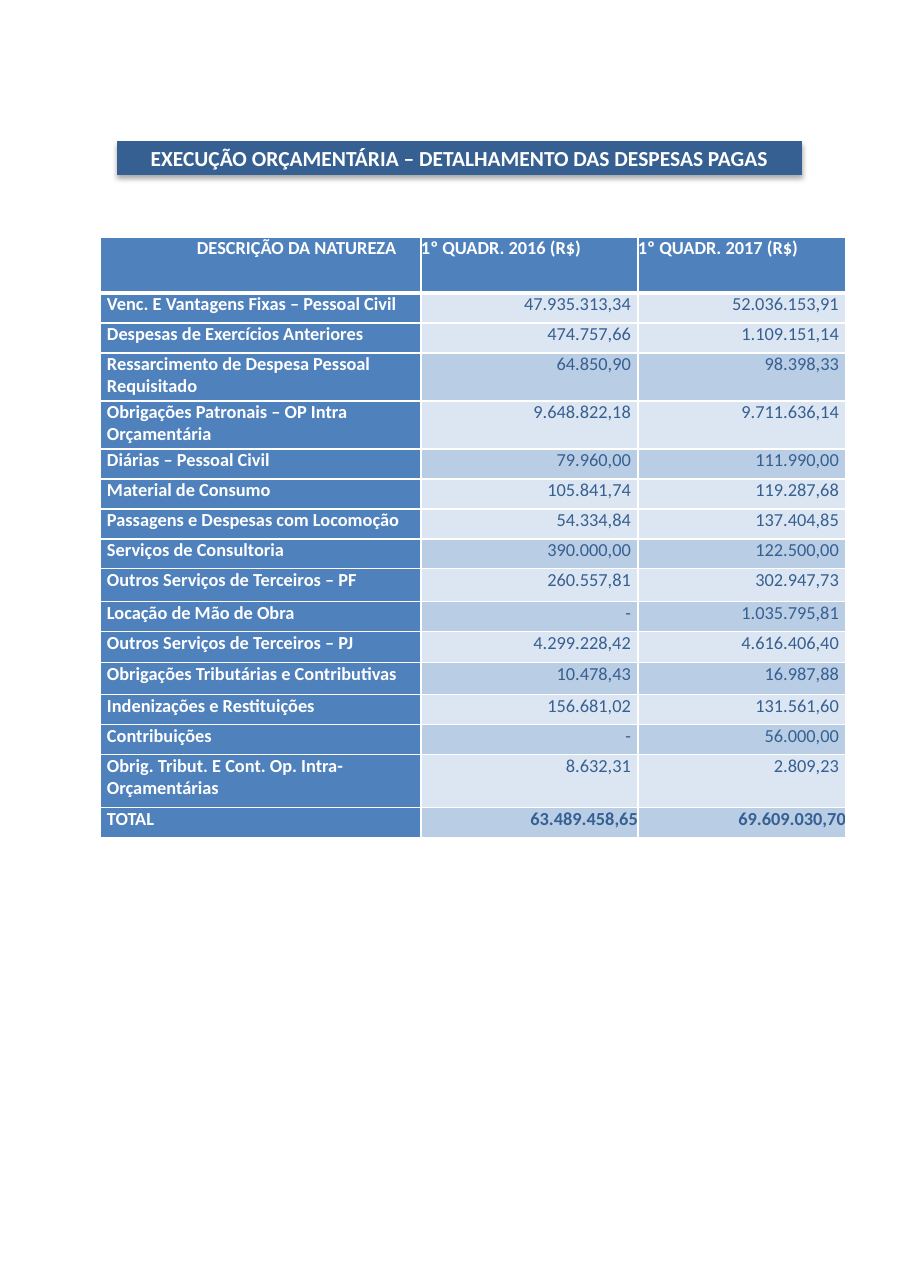
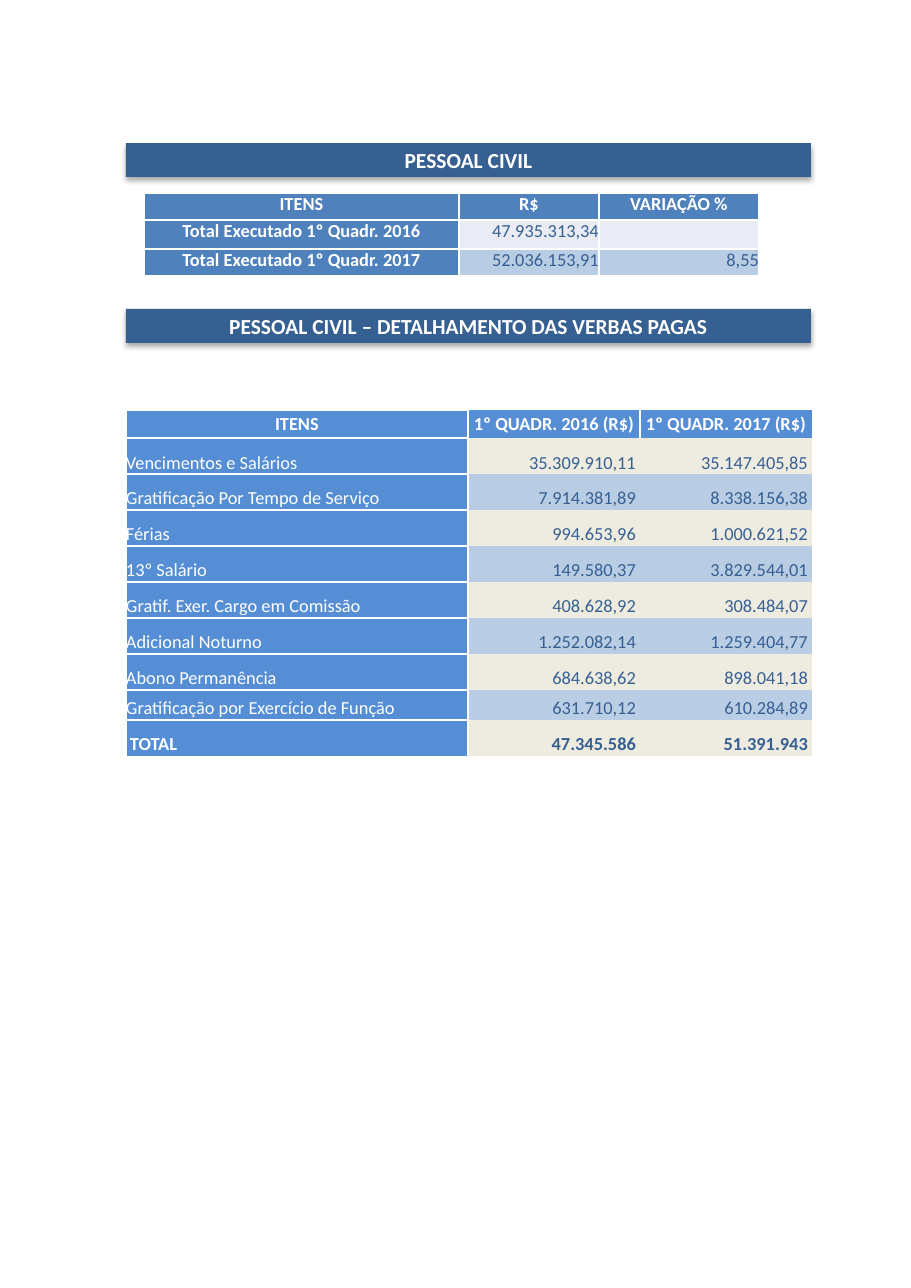
import pptx
import pptx.util
import pptx.dml.color
import pptx.enum.shapes
import pptx.enum.text
from lxml import etree

# Content: label, values of 2016 and 2017, row height and row shade
EXPENSE_HEADER = ("DESCRIÇÃO DA NATUREZA", "1º QUADR. 2016 (R$)", "1º QUADR. 2017 (R$)")
EXPENSES = [
    ("Venc. E Vantagens Fixas – Pessoal Civil", "47.935.313,34", "52.036.153,91", 30, "light"),
    ("Despesas de Exercícios Anteriores", "474.757,66", "1.109.151,14", 30, "light"),
    ("Ressarcimento de Despesa Pessoal Requisitado", "64.850,90", "98.398,33", 48, "mid"),
    ("Obrigações Patronais – OP Intra Orçamentária", "9.648.822,18", "9.711.636,14", 48, "light"),
    ("Diárias – Pessoal Civil", "79.960,00", "111.990,00", 30, "mid"),
    ("Material de Consumo", "105.841,74", "119.287,68", 30, "light"),
    ("Passagens e Despesas com Locomoção", "54.334,84", "137.404,85", 30, "light"),
    ("Serviços de Consultoria", "390.000,00", "122.500,00", 30, "mid"),
    ("Outros Serviços de Terceiros – PF", "260.557,81", "302.947,73", 33, "light"),
    ("Locação de Mão de Obra", "-", "1.035.795,81", 30, "mid"),
    ("Outros Serviços de Terceiros – PJ", "4.299.228,42", "4.616.406,40", 31, "light"),
    ("Obrigações Tributárias e Contributivas", "10.478,43", "16.987,88", 32, "mid"),
    ("Indenizações e Restituições", "156.681,02", "131.561,60", 30, "light"),
    ("Contribuições", "-", "56.000,00", 30, "mid"),
    ("Obrig. Tribut. E Cont. Op. Intra-Orçamentárias", "8.632,31", "2.809,23", 53, "light"),
    ("TOTAL", "63.489.458,65", "69.609.030,70", 30, "mid"),
]
STAFF_HEADER = ("ITENS", "R$", "VARIAÇÃO %")
STAFF_TOTALS = [
    ("Total Executado 1º Quadr. 2016", "47.935.313,34", "", 29, "pale"),
    ("Total Executado 1º Quadr. 2017", "52.036.153,91", "8,55", 27, "blue"),
]
PAY_HEADER = ("ITENS", "1º QUADR. 2016 (R$)", "1º QUADR. 2017 (R$)")
PAY_ITEMS = [
    ("Vencimentos e Salários", "35.309.910,11", "35.147.405,85", 36, "sand"),
    ("Gratificação Por Tempo de Serviço", "7.914.381,89", "8.338.156,38", 36, "blue"),
    ("Férias", "994.653,96", "1.000.621,52", 36, "sand"),
    ("13º Salário", "149.580,37", "3.829.544,01", 36, "blue"),
    ("Gratif. Exer. Cargo em Comissão", "408.628,92", "308.484,07", 36, "sand"),
    ("Adicional Noturno", "1.252.082,14", "1.259.404,77", 36, "mid"),
    ("Abono Permanência", "684.638,62", "898.041,18", 36, "sand"),
    ("Gratificação por Exercício de Função", "631.710,12", "610.284,89", 30, "mid"),
    ("TOTAL", "47.345.586", "51.391.943", 36, "sand"),
]

# Shared style
COLORS = {"white": "FFFFFF", "navy": "376092", "head": "4F81BC", "pay_head": "558ED5",
          "light": "DCE6F2", "mid": "B9CDE5", "pale": "E9ECF4", "blue": "B8CCE4",
          "sand": "EEECE1"}
FONT = "Calibri"
BAR_W, BAR_H = 685, 34
SCALE = 914400 / 110.2
ALIGN = pptx.enum.text.PP_ALIGN
ANCHOR = pptx.enum.text.MSO_ANCHOR
A = "http://schemas.openxmlformats.org/drawingml/2006/main"


def px(length):
    return pptx.util.Emu(round(length * SCALE))


def rgb(name):
    return pptx.dml.color.RGBColor.from_string(COLORS[name])


def add_node(parent, tag, **attributes):
    return etree.SubElement(parent, f"{{{A}}}{tag}", {k: str(v) for k, v in attributes.items()})


def write(frame, text, size, color, bold, align):
    paragraph = frame.paragraphs[0]
    paragraph.alignment = align
    if not text:
        add_node(paragraph._p, "endParaRPr", sz=size * 100)
        return paragraph
    run = paragraph.add_run()
    run.text = text
    run.font.name, run.font.size, run.font.bold = FONT, pptx.util.Pt(size), bold
    run.font.color.rgb = rgb(color)
    return paragraph


# Heading bars
def format_bar(bar, left, top, text):
    bar.left, bar.top, bar.width, bar.height = px(left), px(top), px(BAR_W), px(BAR_H)
    bar.fill.solid()
    bar.fill.fore_color.rgb = rgb("navy")
    bar.line.fill.background()
    bar.shadow.inherit = False
    effects = bar._element.spPr.find(f"{{{A}}}effectLst")
    shadow = add_node(effects, "outerShdw", blurRad=44450, dist=27940, dir=5400000, rotWithShape=0)
    add_node(add_node(shadow, "srgbClr", val="000000"), "alpha", val=32000)
    frame = bar.text_frame
    frame.word_wrap = True
    frame.auto_size = pptx.enum.text.MSO_AUTO_SIZE.NONE
    frame.vertical_anchor = ANCHOR.MIDDLE
    frame.margin_top = frame.margin_bottom = 0
    write(frame, text, 14, "white", True, ALIGN.CENTER)


def add_titled_slide(left, top, title):
    slide = deck.slides.add_slide(deck.slide_layouts[5])
    format_bar(slide.shapes.title, left, top, title)
    return slide


# Tables
def set_borders(cell, widths):
    """Widths in points for the left, right, top and bottom edges; 0 hides an edge."""
    properties = cell._tc.get_or_add_tcPr()
    for edge, width in zip("LRTB", widths):
        line = add_node(properties, "ln" + edge, w=round(width * 12700))
        if width:
            add_node(add_node(line, "solidFill"), "srgbClr", val=COLORS["white"])
        else:
            add_node(line, "noFill")


def add_money_table(slide, left, top, widths, header, header_height, items, style):
    rows = [(*header, header_height, style["head"]), *items]
    heights = [row[3] for row in rows]
    table = slide.shapes.add_table(len(rows), len(widths), px(left), px(top),
                                   px(sum(widths)), px(sum(heights))).table
    for column, width in zip(table.columns, widths):
        column.width = px(width)
    for r, (*texts, height, shade) in enumerate(rows):
        table.rows[r].height = px(height)
        total = texts[0] == "TOTAL"
        for c, text in enumerate(texts):
            cell = table.cell(r, c)
            label, heading = c == 0, r == 0
            set_borders(cell, style["borders"](r, c))
            cell.fill.solid()
            cell.fill.fore_color.rgb = rgb(style["head"] if label else shade)
            cell.margin_left, cell.margin_right = map(px, style["margins"](r, c, total))
            cell.margin_top = cell.margin_bottom = 0
            cell.vertical_anchor = style["head_anchor"] if heading else style["anchor"]
            align = (style["head_align"] if heading
                     else style["label_align"] if label else ALIGN.RIGHT)
            bold = heading or total or (label and style["bold_labels"])
            paragraph = write(cell.text_frame, text, 12,
                              "white" if heading or label else "navy", bold, align)
            paragraph.space_before = pptx.util.Pt(style["space"])


def expense_margins(r, c, total):
    if c == 0:
        return (7 if r else 97), 0
    return 0, (7 if r and not total else 0)


def pay_margins(r, c, total):
    if r == 0:
        return 0, 0
    return (4 if total else 0, 0) if c == 0 else (0, 4)


def pay_borders(r, c):
    if c == 0:
        return 1.5, 1.5, (1.5 if r else 0.5), (1.5 if r < len(PAY_ITEMS) else 0)
    return (1.5 if c == 1 or r == 0 else 0), (1.5 if c == 1 and r == 0 else 0), 0, 0


EXPENSE_STYLE = dict(
    head="head", head_align=ALIGN.LEFT, label_align=ALIGN.LEFT, bold_labels=True, space=0.5,
    head_anchor=ANCHOR.TOP, anchor=ANCHOR.TOP, margins=expense_margins,
    borders=lambda r, c: (1, 1, 3 if r == 1 else 1, 3 if r == 0 else 1))
STAFF_STYLE = dict(
    EXPENSE_STYLE, head_align=ALIGN.CENTER, label_align=ALIGN.CENTER, space=0,
    margins=lambda r, c, total: (0, 0),
    borders=lambda r, c: (1, 1, 1.5 if r == 1 else 1, 1.5 if r == 0 else 1))
PAY_STYLE = dict(
    STAFF_STYLE, head="pay_head", label_align=ALIGN.LEFT, bold_labels=False,
    head_anchor=ANCHOR.MIDDLE, anchor=ANCHOR.BOTTOM, margins=pay_margins, borders=pay_borders)

deck = pptx.Presentation()
deck.slide_width, deck.slide_height = px(911), px(1288)

# Slide 1: expenses paid
expenses = add_titled_slide(117, 141, "EXECUÇÃO ORÇAMENTÁRIA – DETALHAMENTO DAS DESPESAS PAGAS")
add_money_table(expenses, 100, 237, (321, 217, 208), EXPENSE_HEADER, 56, EXPENSES, EXPENSE_STYLE)

# Slide 2: civil staff
staff = add_titled_slide(126, 143, "PESSOAL CIVIL")
pay_bar = staff.shapes.add_shape(pptx.enum.shapes.MSO_SHAPE.RECTANGLE, 0, 0, 0, 0)
format_bar(pay_bar, 126, 309, "PESSOAL CIVIL – DETALHAMENTO DAS VERBAS PAGAS")
add_money_table(staff, 144, 193, (315, 140, 160), STAFF_HEADER, 27, STAFF_TOTALS, STAFF_STYLE)
add_money_table(staff, 126, 410, (342, 172, 172), PAY_HEADER, 28, PAY_ITEMS, PAY_STYLE)

deck.save("out.pptx")
